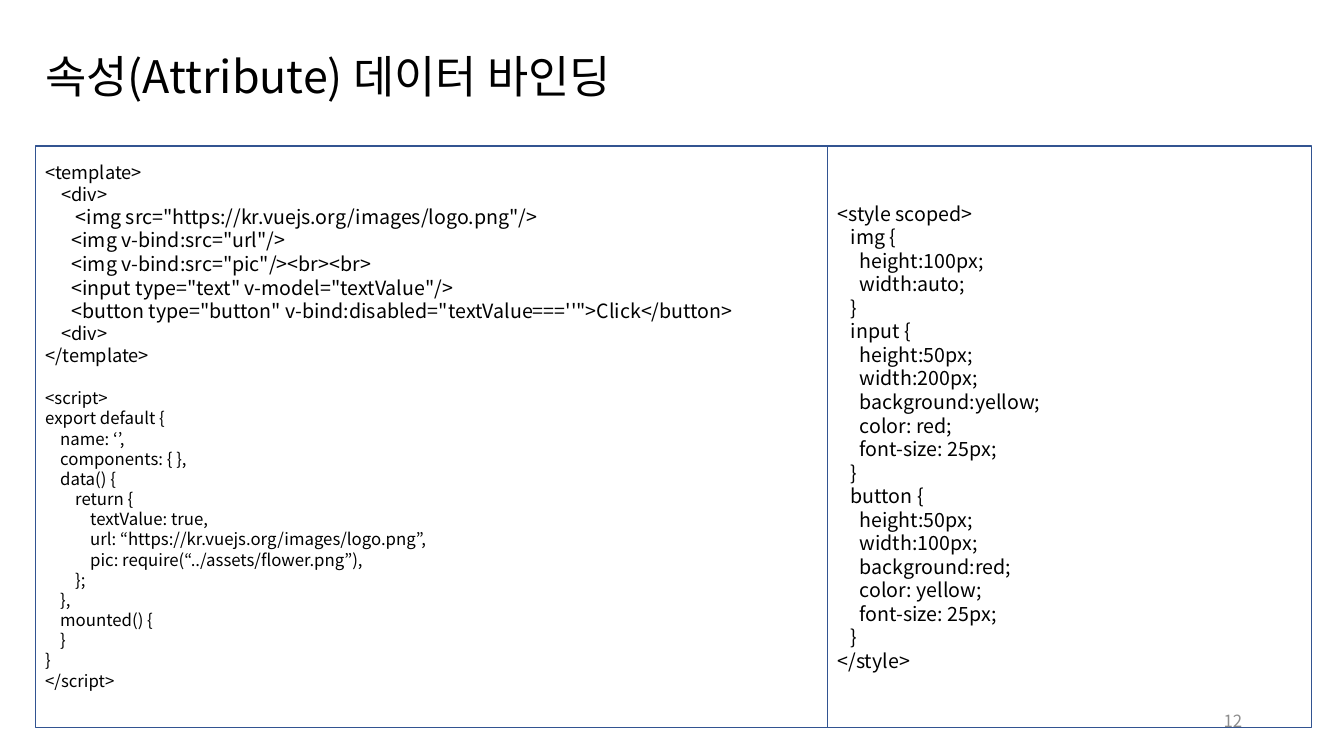
from collections import namedtuple

from lxml.etree import SubElement
from pptx import Presentation
from pptx.dml.color import RGBColor as Color
from pptx.enum.shapes import MSO_SHAPE as Shape
from pptx.enum.text import MSO_ANCHOR as Anchor, PP_ALIGN as Align
from pptx.oxml.ns import qn
from pptx.util import Inches, Pt

Box = namedtuple("Box", "column row columns rows")
Theme = namedtuple("Theme", "font ink muted border title large medium small leading")

THEME = Theme(
    font="Noto Sans CJK KR",
    ink=Color.from_string("000000"),
    muted=Color.from_string("8C8C8C"),
    border=Color.from_string("325491"),
    title=32, large=14, medium=13, small=12, leading=1.2,
)
COLUMNS, ROWS = 1333, 750
CELL = Inches(0.01)

TEMPLATE_OPEN = """<template>
    <div>"""
TEMPLATE_BODY = """       <img src="https://kr.vuejs.org/images/logo.png"/>
      <img v-bind:src="url"/>
      <img v-bind:src="pic"/><br><br>
      <input type="text" v-model="textValue"/>
      <button type="button" v-bind:disabled="textValue===''">Click</button>"""
TEMPLATE_CLOSE = """    <div>
</template>"""
SCRIPT = """<script>
export default {
    name: ‘’,
    components: { },
    data() {
        return {
            textValue: true,
            url: “https://kr.vuejs.org/images/logo.png”,
            pic: require(“../assets/flower.png”),
        };
    },
    mounted() {
    }
}
</script>"""
STYLE = """<style scoped>
   img {
     height:100px;
     width:auto;
   }
   input {
     height:50px;
     width:200px;
     background:yellow;
     color: red;
     font-size: 25px;
   }
   button {
     height:50px;
     width:100px;
     background:red;
     color: yellow;
     font-size: 25px;
   }
</style>"""


def assign(target, values):
    for name, value in values.items():
        setattr(target, name, value)


def place(box):
    return [CELL * length for length in box]


def write(para, text, size, color, layout):
    assign(para, layout)
    span = para.add_run()
    span.text = text
    assign(span.font, {"name": THEME.font, "size": Pt(size)})
    span.font.color.rgb = color
    properties = span.font._element
    SubElement(properties, qn("a:ea")).set("typeface", THEME.font)


def add_label(slide, box, text, size, color, layout):
    frame = slide.shapes.add_textbox(*place(box)).text_frame
    assign(frame, {"word_wrap": True, "vertical_anchor": Anchor.MIDDLE})
    write(frame.paragraphs[0], text, size, color, layout)


def add_code_panel(slide, box, sections, bottom_rows=5):
    panel = slide.shapes.add_shape(Shape.RECTANGLE, *place(box))
    panel.shadow.inherit = False
    panel.fill.background()
    panel.line.color.rgb = THEME.border
    panel.line.width = Pt(1)
    frame = panel.text_frame
    assign(frame, {
        "word_wrap": True,
        "vertical_anchor": Anchor.MIDDLE,
        "margin_bottom": CELL * bottom_rows,
    })
    para = None
    for code, size, gap in sections:
        for number, line in enumerate(code.splitlines()):
            para = frame.add_paragraph() if para else frame.paragraphs[0]
            write(para, line, size, THEME.ink, {
                "alignment": Align.LEFT,
                "line_spacing": Pt(size * THEME.leading),
                "space_before": Pt(0 if number else gap),
            })


def add_code_region(slide, box, split):
    left = box._replace(columns=split)
    right = box._replace(column=box.column + split, columns=box.columns - split)
    blank_line = THEME.medium * THEME.leading
    add_code_panel(slide, left, [
        (TEMPLATE_OPEN, THEME.medium, 0),
        (TEMPLATE_BODY, THEME.large, 0),
        (TEMPLATE_CLOSE, THEME.medium, 0),
        (SCRIPT, THEME.small, blank_line),
    ], bottom_rows=27)
    add_code_panel(slide, right, [(STYLE, THEME.large, 0)])


def main():
    deck = Presentation()
    assign(deck, {"slide_width": CELL * COLUMNS, "slide_height": CELL * ROWS})
    slide = deck.slides.add_slide(deck.slide_layouts[6])
    add_label(slide, Box(35, 40, 1266, 77), "속성(Attribute) 데이터 바인딩",
              THEME.title, THEME.ink, {"line_spacing": 0.9})
    add_label(slide, Box(942, 695, 300, 40), "12",
              THEME.small, THEME.muted, {"alignment": Align.RIGHT})
    add_code_region(slide, Box(35, 145, 1266, 577), split=786)
    deck.save("out.pptx")


if __name__ == "__main__":
    main()
